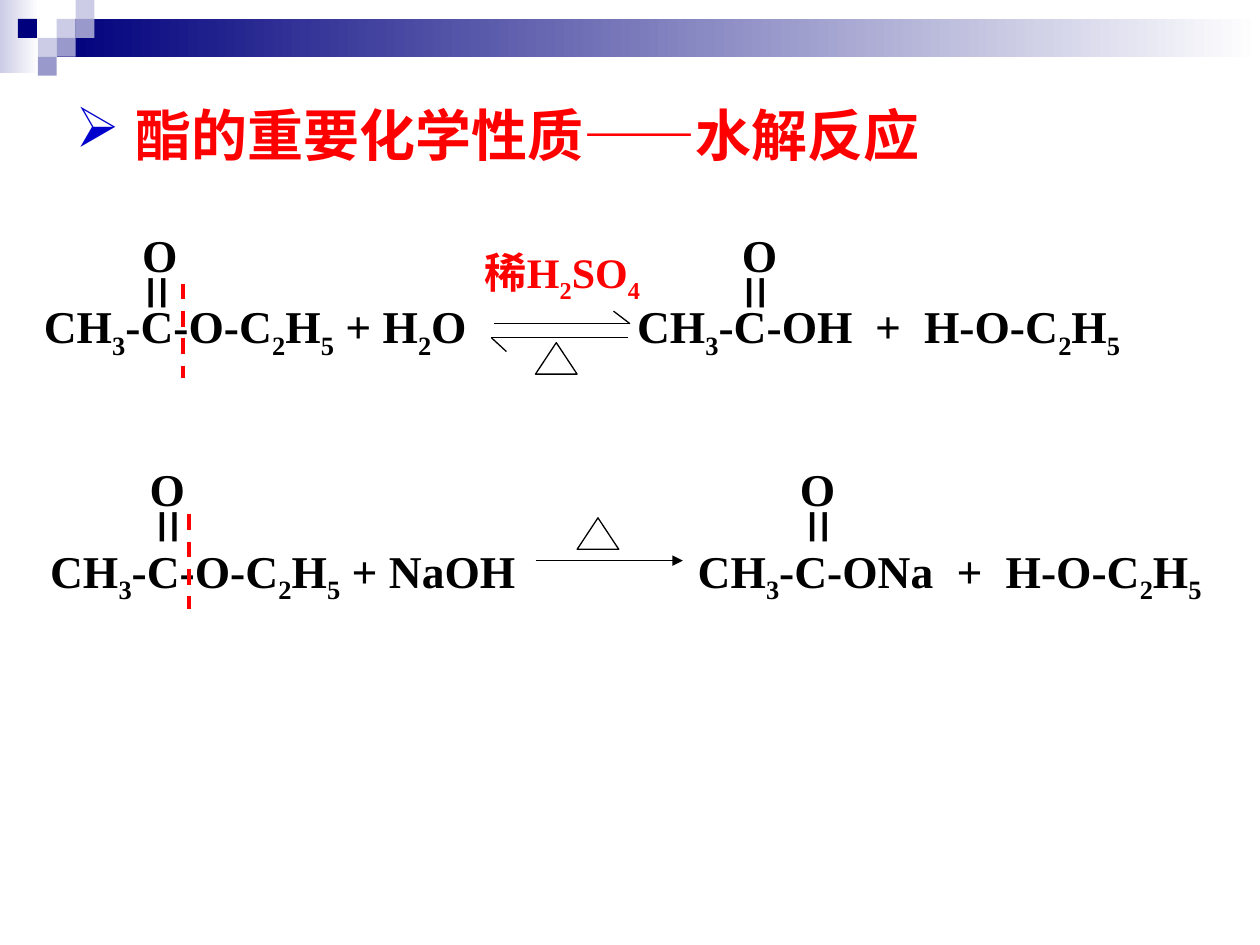
from dataclasses import dataclass

from lxml import etree
from pptx import Presentation
from pptx.dml.color import RGBColor
from pptx.enum import dml, shapes, text
from pptx.oxml import ns
from pptx.util import Pt

SERIF = "Times New Roman"
BLACK, RED, WHITE = "000000", "FF0000", "FFFFFF"
NAVY, LILAC, VIOLET = "00007D", "CCCCE6", "9999CC"
GRID = 10.8


@dataclass
class Reaction:
    """An ester reaction: its formula, carbonyl groups, heat sign and bond cut."""

    left: float
    top: float
    formula: str
    tabs: tuple[float, ...]
    carbonyls: tuple[tuple[float, float], ...]
    oxygen_top: float
    heat: tuple[float, float]
    cut: tuple[float, float]


@dataclass
class Line:
    """A straight line between two points."""

    x1: float
    y1: float
    x2: float
    y2: float
    color: str = BLACK
    width: float = 0.75
    dashed: bool = False
    arrow: bool = False


REACTIONS = [
    Reaction(18, 167, "CH_3-C-O-C_2H_5 + H_2O\tCH_3-C-OH\t+\tH-O-C_2H_5",
             (339, 475, 503), ((74.2, 59.8), (416.9, 401.8)), 126,
             (306, 195.8), (104.4, 162)),
    Reaction(21.6, 306.7, "CH_3-C-O-C_2H_5 + NaOH\tCH_3-C-ONa\t+\tH-O-C_2H_5",
             (370, 518, 546), ((78.5, 66.2), (450, 437.8)), 260,
             (329.8, 295.9), (108, 293.8)),
]
ARROWS = [
    Line(282.2, 185, 359.3, 185),
    Line(350.6, 177.8, 360, 185),
    Line(358.6, 193, 280.8, 193),
    Line(289.4, 200.9, 280.8, 193),
    Line(306, 320.4, 390.2, 320.4, arrow=True),
]
SQUARES = [(3, 1, LILAC), (4, 0, LILAC), (4, 1, VIOLET), (2, 2, LILAC),
           (0.95, 1, NAVY), (3, 2, VIOLET), (2, 3, VIOLET)]


def rgb(color: str) -> RGBColor:
    """Turn a hex string into a colour."""
    return RGBColor.from_string(color)


def add_sub(parent, tag: str, **attrs: str):
    """Append a DrawingML child element."""
    child = etree.SubElement(parent, ns.qn(tag))
    for name, value in attrs.items():
        child.set(name, value)
    return child


def add_shape(s, kind, x: float, y: float, w: float, h: float):
    """Add a preset shape with no shadow."""
    sp = s.shapes.add_shape(kind, Pt(x), Pt(y), Pt(w), Pt(h))
    sp.shadow.inherit = False
    return sp


def add_block(s, x: float, y: float, w: float, h: float, *colors: str) -> None:
    """Add a borderless rectangle, plain or fading between two colours."""
    sp = add_shape(s, shapes.MSO_SHAPE.RECTANGLE, x, y, w, h)
    sp.line.fill.background()
    if len(colors) == 1:
        sp.fill.solid()
        sp.fill.fore_color.rgb = rgb(colors[0])
        return
    sp.fill.gradient()
    sp.fill.gradient_angle = 0
    for stop, color in zip(sp.fill.gradient_stops, colors):
        stop.color.rgb = rgb(color)


def add_line(s, line: Line) -> None:
    """Draw a straight line."""
    c = s.shapes.add_connector(shapes.MSO_CONNECTOR.STRAIGHT, Pt(line.x1),
                               Pt(line.y1), Pt(line.x2), Pt(line.y2))
    c.line.color.rgb = rgb(line.color)
    c.line.width = Pt(line.width)
    if line.dashed:
        c.line.dash_style = dml.MSO_LINE.DASH
    if line.arrow:
        add_sub(c.line._get_or_add_ln(), "a:tailEnd", type="triangle")
    add_sub(c._element.spPr, "a:effectLst")


def add_run(p, words: str, size: float, color: str, font: str = SERIF):
    """Add a bold run."""
    r = p.add_run()
    r.text = words
    r.font.name, r.font.size, r.font.bold = font, Pt(size), True
    r.font.color.rgb = rgb(color)
    return r


def add_formula(s, x: float, y: float, w: float, h: float, formula: str,
                size: float = 26, color: str = BLACK,
                tabs: tuple[float, ...] = ()):
    """Add a chemical formula; an underscore lowers the next digit."""
    tf = s.shapes.add_textbox(Pt(x), Pt(y), Pt(w), Pt(h)).text_frame
    tf.word_wrap = True
    p = tf.paragraphs[0]
    if tabs:
        stops = add_sub(p._p.get_or_add_pPr(), "a:tabLst")
        for pos in tabs:
            add_sub(stops, "a:tab", pos=str(Pt(pos)), algn="l")
    first, *rest = formula.split("_")
    add_run(p, first, size, color)
    for part in rest:
        r = add_run(p, part[0], size, color)
        r._r.get_or_add_rPr().set("baseline", "-25000")
        if part[1:]:
            add_run(p, part[1:], size, color)
    return tf


def add_double_bond(s, x: float, y: float) -> None:
    """Add an upright double bond."""
    tf = add_formula(s, x, y, 57.6, 30.2, "=", 36)
    tf.margin_left = tf.margin_right = Pt(3.6)
    tf.margin_top = tf.margin_bottom = Pt(7.2)
    tf.auto_size = text.MSO_AUTO_SIZE.SHAPE_TO_FIT_TEXT
    tf._txBody.bodyPr.set("vert", "eaVert")


def add_reaction(s, reaction: Reaction) -> None:
    """Draw one reaction."""
    sp = add_shape(s, shapes.MSO_SHAPE.ISOSCELES_TRIANGLE, *reaction.heat, 23.8, 18)
    sp.fill.solid()
    sp.fill.fore_color.rgb = rgb(WHITE)
    sp.line.color.rgb = rgb(BLACK)
    sp.line.width = Pt(0.75)
    add_formula(s, reaction.left, reaction.top, 690, 39, reaction.formula,
                tabs=reaction.tabs)
    for oxygen_x, bond_x in reaction.carbonyls:
        add_double_bond(s, bond_x, reaction.oxygen_top + 24)
        add_formula(s, oxygen_x, reaction.oxygen_top, 36, 39, "O")
    x, y = reaction.cut
    add_line(s, Line(x, y, x, y + 54, RED, 2.25, dashed=True))


def add_title(s, words: str) -> None:
    """Fill the title placeholder with a bulleted heading."""
    sp = s.shapes.title
    sp.left, sp.top, sp.width, sp.height = Pt(36), Pt(54), Pt(582), Pt(46)
    tf = sp.text_frame
    tf.auto_size = text.MSO_AUTO_SIZE.NONE
    tf.vertical_anchor = text.MSO_ANCHOR.TOP
    p = tf.paragraphs[0]
    p.alignment = text.PP_ALIGN.LEFT
    pPr = p._p.get_or_add_pPr()
    pPr.set("marL", str(Pt(34)))
    pPr.set("indent", str(-Pt(34)))
    add_sub(add_sub(pPr, "a:buClr"), "a:srgbClr", val="0000CC")
    add_sub(pPr, "a:buChar", char="➢")
    add_run(p, words, 32, RED, "Arial")


def main() -> None:
    """Build the slide on ester hydrolysis."""
    prs = Presentation()
    prs.slide_width, prs.slide_height = Pt(720), Pt(540)
    s = prs.slides.add_slide(prs.slide_layouts[5])
    add_block(s, 0, 0, 22.3, 41.8, LILAC, WHITE)
    add_block(s, 3 * GRID, GRID, 720 - 3 * GRID, 2 * GRID, NAVY, WHITE)
    for col, row, color in SQUARES:
        add_block(s, col * GRID, row * GRID, GRID, GRID, color)
    add_title(s, "酯的重要化学性质——水解反应")
    add_formula(s, 270, 137.5, 120, 40, "稀H_2SO_4", 24, RED)
    for reaction in REACTIONS:
        add_reaction(s, reaction)
    for arrow in ARROWS:
        add_line(s, arrow)
    prs.save("out.pptx")


if __name__ == "__main__":
    main()
